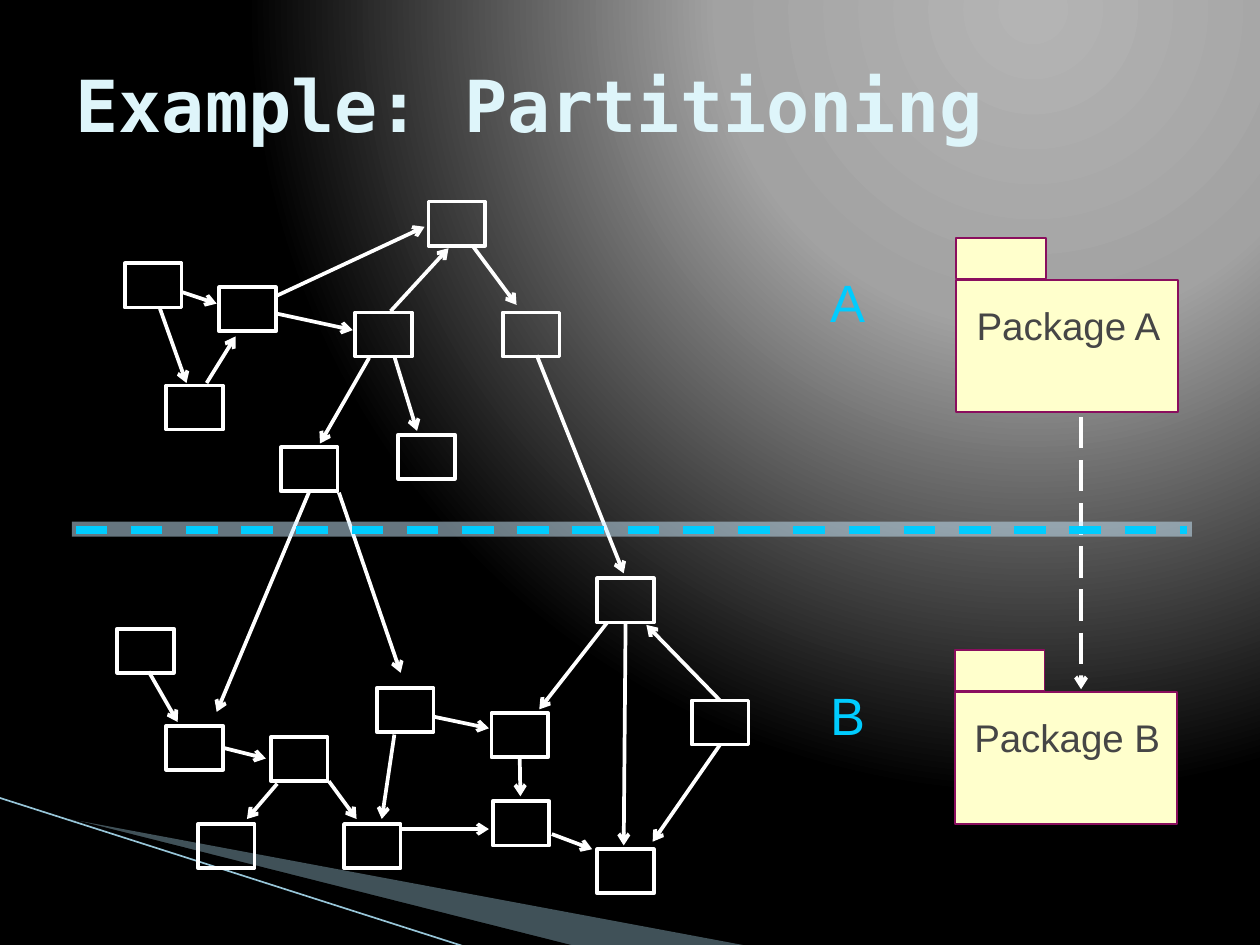
from math import hypot
from lxml.etree import SubElement
from pptx import Presentation
from pptx.dml.color import RGBColor
from pptx.enum.dml import MSO_LINE as Dash
from pptx.enum.shapes import MSO_CONNECTOR as Conn, MSO_SHAPE as Shape
from pptx.enum.text import MSO_ANCHOR as Anchor, MSO_AUTO_SIZE as Auto, PP_ALIGN as Align
from pptx.oxml.ns import qn
from pptx.util import Inches, Pt

WHITE = RGBColor(0xFF, 0xFF, 0xFF)
BLACK = RGBColor(0, 0, 0)
CYAN = RGBColor(0x00, 0xCC, 0xFF)
PALE = RGBColor(0xCC, 0xEC, 0xFF)
MIST = RGBColor(0xA0, 0xCB, 0xDC)
SKY = RGBColor(0x97, 0xC5, 0xD8)
CREAM = RGBColor(0xFF, 0xFF, 0xCC)
PLUM = RGBColor(0x8A, 0x0E, 0x5E)
GREY = RGBColor(0x46, 0x46, 0x46)
ICE = RGBColor(0xDE, 0xF5, 0xFA)

STOPS = [(0, "B4B4B4"), (40, "A2A2A2"), (100, "000000")]
FOCUS = {"l": 65, "t": 0, "r": 0, "b": 98}
NODES = [
    (0.99, 2.09), (1.32, 3.06), (3.4, 1.6), (1.74, 2.28), (3.16, 3.45), (2.82, 2.48),
    (2.23, 3.55), (3.99, 2.48), (0.93, 4.99), (1.32, 5.76), (1.57, 6.54), (2.15, 5.85),
    (2.99, 5.46), (5.49, 5.56), (4.74, 4.59), (3.9, 5.66), (2.73, 6.54), (3.91, 6.36),
    (4.74, 6.74),
]
EDGES = [
    (1.27, 2.45, 1.48, 3.04), (1.45, 2.32, 1.72, 2.41), (1.64, 3.04, 1.87, 2.67),
    (2.19, 2.35, 3.37, 1.8), (3.1, 2.47, 3.56, 1.97), (2.2, 2.49, 2.8, 2.62),
    (3.13, 2.83, 3.31, 3.42), (2.93, 2.84, 2.54, 3.52), (1.18, 5.33, 1.41, 5.73),
    (2.45, 3.91, 1.72, 5.65), (1.78, 5.95, 2.11, 6.02), (2.2, 6.22, 1.96, 6.5),
    (2.69, 3.91, 3.18, 5.34), (3.75, 1.95, 4.1, 2.42), (4.26, 2.82, 4.95, 4.55),
    (5.71, 5.56, 5.13, 4.96), (3.45, 5.69, 3.88, 5.78), (4.82, 4.94, 4.28, 5.63),
    (2.61, 6.2, 2.83, 6.5), (3.13, 5.83, 3.03, 6.5), (4.13, 6.02, 4.13, 6.32),
    (3.19, 6.58, 3.88, 6.58), (4.97, 4.95, 4.95, 6.71), (5.7, 5.91, 5.18, 6.68),
    (4.38, 6.62, 4.7, 6.74),
]


class Deck:
    font = {"name": "Arial"}
    head = {"name": "DejaVu Sans Mono", "size": Pt(41), "bold": True}
    near = Inches(0.02)

    def __init__(self, file):
        self.slide = file.slides.add_slide(file.slide_layouts[5])
        self.shapes = self.slide.shapes
        self.nodes = []

    def apply(self, item, style):
        for key, value in style.items():
            setattr(item, key, value)

    def ink(self, text, words, style, color, align):
        part = text.paragraphs[0]
        part.text = words
        part.alignment = align
        self.apply(part.font, style)
        part.font.color.rgb = color

    def back(self):
        self.slide.background.fill.gradient()
        grad = self.slide.element.find(".//" + qn("a:gradFill"))
        for child in list(grad):
            grad.remove(child)
        stops = SubElement(grad, qn("a:gsLst"))
        for pos, color in STOPS:
            stop = SubElement(stops, qn("a:gs"), pos=str(pos * 1000))
            SubElement(stop, qn("a:srgbClr"), val=color)
        round_ = SubElement(grad, qn("a:path"), path="circle")
        edges = {side: str(value * 1000) for side, value in FOCUS.items()}
        SubElement(round_, qn("a:fillToRect"), **edges)

    def paint(self, shape, fill=None, alpha=None, line=None, width=1):
        shape.shadow.inherit = False
        if fill is None:
            shape.fill.background()
        else:
            shape.fill.solid()
            shape.fill.fore_color.rgb = fill
        if alpha:
            color = shape.fill._xPr.find(".//" + qn("a:srgbClr"))
            SubElement(color, qn("a:alpha"), val=str(alpha * 1000))
        if line is None:
            shape.line.fill.background()
        else:
            shape.line.color.rgb = line
            shape.line.width = Pt(width)
        return shape

    def rect(self, at, home=None, **look):
        shapes = home or self.shapes
        return self.paint(shapes.add_shape(Shape.RECTANGLE, *map(Inches, at)), **look)

    def node(self, x, y):
        self.nodes.append(self.rect((x, y, 0.45, 0.35), line=WHITE, width=2.13))

    def wedge(self, points, **look):
        first, *rest = [tuple(map(Inches, point)) for point in points]
        form = self.shapes.build_freeform(*first)
        form.add_line_segments(rest)
        self.paint(form.convert_to_shape(), **look)

    def site(self, x, y):
        for box in self.nodes:
            midx, midy = box.left + box.width / 2, box.top + box.height / 2
            sides = [(midx, box.top), (box.left, midy),
                     (midx, box.top + box.height), (box.left + box.width, midy)]
            for spot, (sx, sy) in enumerate(sides):
                if hypot(x - sx, y - sy) <= self.near:
                    return box, spot
        return None

    def line(self, ends, color=WHITE, width=2.13, dash=None, arrow=False):
        ends = [Inches(end) for end in ends]
        link = self.shapes.add_connector(Conn.STRAIGHT, *ends)
        self.apply(link.line, {"width": Pt(width), "dash_style": dash})
        link.line.color.rgb = color
        if arrow:
            SubElement(link.line._get_or_add_ln(), qn("a:tailEnd"), type="arrow")
        SubElement(link._element.spPr, qn("a:effectLst"))
        for join, spot in ((link.begin_connect, ends[:2]), (link.end_connect, ends[2:])):
            found = self.site(*spot)
            if found:
                join(*found)

    def label(self, words, at, size, color, align=Align.LEFT):
        text = self.shapes.add_textbox(*map(Inches, at)).text_frame
        self.apply(text, {"margin_left": 0, "margin_top": 0, "margin_right": 0,
                          "margin_bottom": 0, "word_wrap": False,
                          "auto_size": Auto.SHAPE_TO_FIT_TEXT})
        self.ink(text, words, {**self.font, "size": Pt(size)}, color, align)

    def pack(self, words, x, y):
        home = self.shapes.add_group_shape().shapes
        for at in ((x, y + 0.33, 1.76, 1.05), (x, y, 0.71, 0.32)):
            self.rect(at, home, fill=CREAM, line=PLUM)
        self.label(words, (x + 0.15, y + 0.51, 1.48, 0.37), 22, GREY, Align.CENTER)

    def title(self, words):
        title = self.shapes.title
        at = {"left": 0.5, "top": 0.2, "width": 9, "height": 1.25}
        self.apply(title, {key: Inches(value) for key, value in at.items()})
        title.text_frame.vertical_anchor = Anchor.MIDDLE
        self.ink(title.text_frame, words, self.head, ICE, Align.LEFT)


def main():
    file = Presentation()
    file.slide_width, file.slide_height = Inches(10), Inches(7.5)
    deck = Deck(file)
    deck.back()
    deck.wedge([(0.55, 6.5), (5.95, 7.51), (4.56, 7.51)], fill=MIST, alpha=40)
    deck.wedge([(0.53, 6.49), (4.57, 7.51), (3.72, 7.52)], fill=BLACK)
    deck.line((-0.01, 6.33, 3.71, 7.52), SKY, 0.95)
    for spot in NODES:
        deck.node(*spot)
    for ends in EDGES:
        deck.line(ends, arrow=True)
    for name, top, x, y in (("A", 2.14, 7.59, 1.89), ("B", 5.42, 7.58, 5.16)):
        deck.label(name, (6.59, top, 0.28, 0.5), 30, CYAN)
        deck.pack(f"Package {name}", x, y)
    deck.line((8.58, 3.31, 8.58, 5.47), width=2.25, dash=Dash.LONG_DASH, arrow=True)
    deck.title("Example: Partitioning")
    deck.rect((0.57, 4.14, 8.89, 0.12), fill=PALE, alpha=50)
    deck.line((0.6, 4.21, 9.42, 4.21), CYAN, 4.5, Dash.DASH)
    file.save("out.pptx")


if __name__ == "__main__":
    main()
